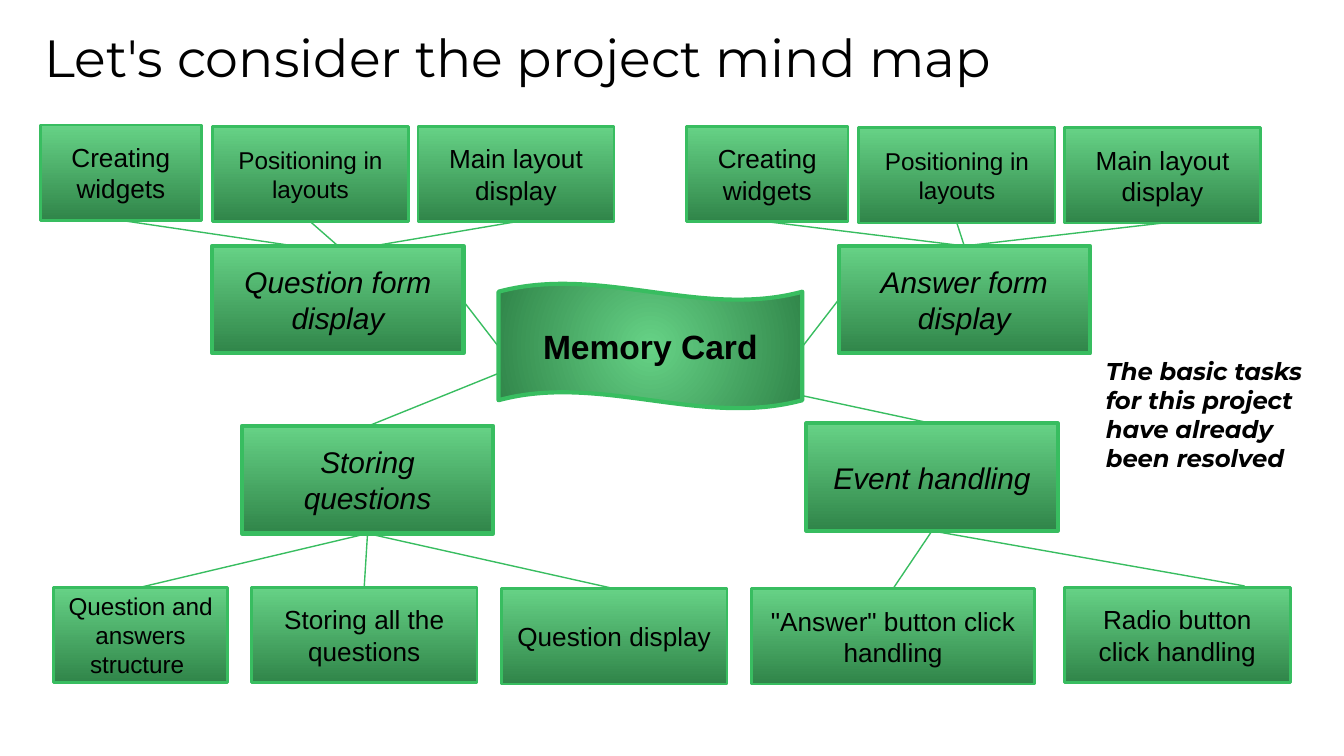
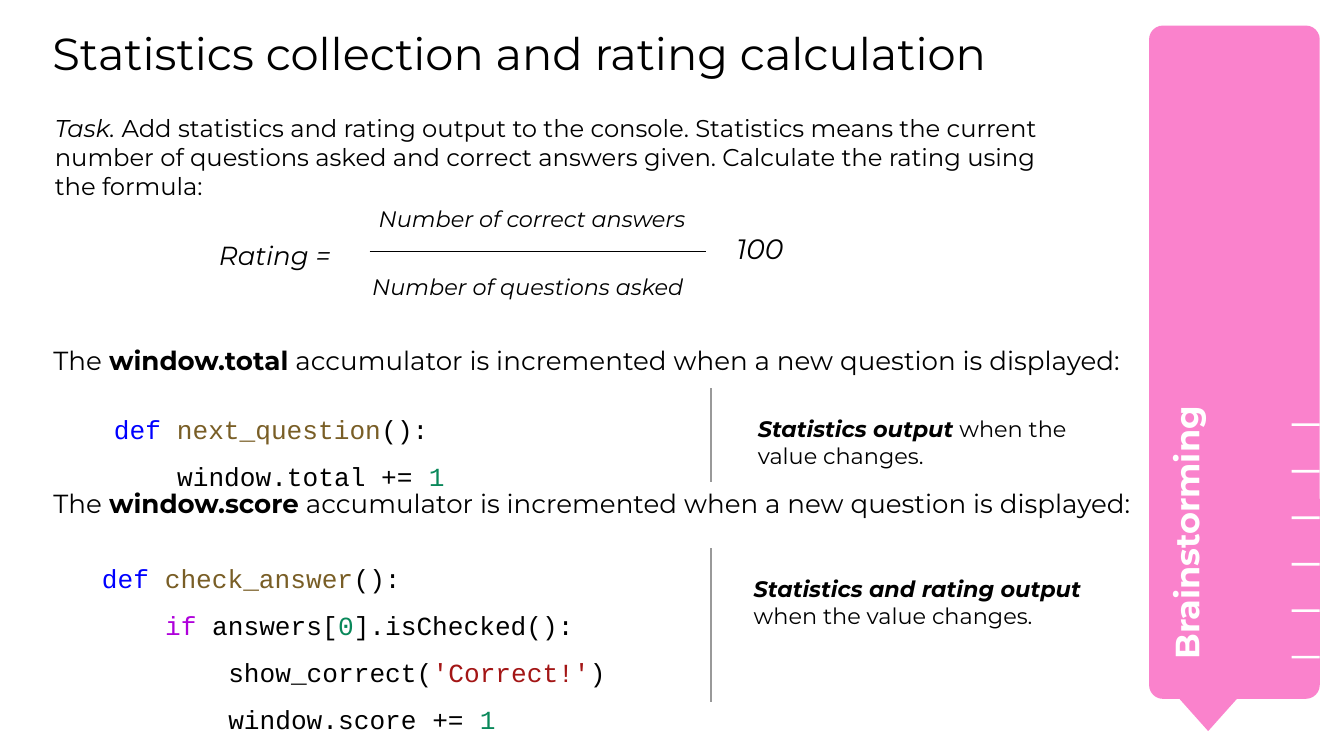
from lxml.etree import SubElement
from pptx import Presentation
from pptx.dml.color import RGBColor
from pptx.enum.shapes import MSO_CONNECTOR, MSO_SHAPE as Shape
from pptx.enum.text import MSO_ANCHOR as Anchor, PP_ALIGN as Align
from pptx.oxml.ns import qn
from pptx.util import Inches, Pt

BLACK = RGBColor(0x00, 0x00, 0x00)
WHITE = RGBColor(0xFF, 0xFF, 0xFF)
GRAY = RGBColor(0x99, 0x99, 0x99)
PINK = RGBColor(0xFA, 0x82, 0xCC)
GREEN = RGBColor(0x38, 0xBD, 0x60)
LIGHT_GREEN = RGBColor(0x66, 0xD2, 0x86)
DARK_GREEN = RGBColor(0x30, 0x85, 0x49)
KEYWORD = RGBColor(0x00, 0x00, 0xFF)
CONTROL = RGBColor(0xAF, 0x00, 0xDB)
FUNCTION = RGBColor(0x79, 0x5E, 0x26)
NUMBER = RGBColor(0x09, 0x88, 0x5A)
STRING = RGBColor(0xA3, 0x15, 0x15)

BODY_FONT, BOX_FONT, CODE_FONT = "Montserrat", "Arial", "Courier New"
SLIDE_WIDTH = 10
SLIDE_HEIGHT = SLIDE_WIDTH * 9 / 16
TOP, BOTTOM = 0, 2
BRANCH_SIZE = (1.87, 0.8)
LEAF_HEIGHT = 0.71
CODE_INDENT = 0.47

MIND_MAP_TITLE = "Let's consider the project mind map"
MIND_MAP_NOTE = "The basic tasks for this project have already been resolved"
CENTER = ("Memory Card", (3.71, 2.11, 2.26, 0.93))

BRANCHES = [
    ("Question form display", (1.58, 1.83), ((3.71, 2.58), (3.44, 2.23)), TOP, [
        ("Creating widgets", 0.3, 0.93, 1.2, 14, (2.19, 1.83), None),
        ("Positioning in layouts", 1.58, 0.94, 1.46, 13, None, None),
        ("Main layout display", 3.11, 0.94, 1.46, 14, (2.72, 1.84), None),
    ]),
    ("Answer form display", (6.24, 1.83), ((5.97, 2.58), (6.24, 2.23)), TOP, [
        ("Creating widgets", 5.11, 0.94, 1.2, 14, None, None),
        ("Positioning in layouts", 6.39, 0.95, 1.46, 13, None, None),
        ("Main layout display", 7.92, 0.95, 1.46, 14, None, None),
    ]),
    ("Storing questions", (1.8, 3.17), ((3.73, 2.77), (2.74, 3.17)), BOTTOM, [
        ("Question and answers structure ", 0.4, 4.37, 1.29, 13, None, None),
        ("Storing all the questions", 1.87, 4.37, 1.68, 14, None, None),
        ("Question display", 3.73, 4.38, 1.68, 14, None, None),
    ]),
    ("Event handling", (6, 3.15), ((5.95, 2.94), (6.93, 3.15)), BOTTOM, [
        ('"Answer" button click handling', 5.59, 4.38, 2.11, 14, None, None),
        ("Radio button click handling", 7.92, 4.37, 1.68, 14, None, (9.26, 4.36)),
    ]),
]

BOLD = {"bold": True}
ITALIC = {"italic": True}
STRONG = {"bold": True, "italic": True}

STATISTICS_TITLE = "Statistics collection and rating calculation"
BANNER = "Brainstorming"
TASK = [
    ("Task. ", ITALIC),
    ("Add statistics and rating output to the console. Statistics means the current "
     "number of questions asked and correct answers given. Calculate the rating using "
     "the formula:", {}),
]
FORMULA = [
    ("Rating =", (1.53, 1.68, 1.35, 0.39), 14, Align.LEFT),
    ("Number of correct answers", (2.68, 1.43, 2.56, 0.39), 12, Align.CENTER),
    ("Number of questions asked", (2.67, 1.93, 2.85, 0.39), 12, Align.LEFT),
    ("100", (5.38, 1.62, 1.35, 0.3), 15, Align.LEFT),
]
ACCUMULATORS = [
    {
        "name": "window.total", "place": (0.3, 2.46, 8.2, 0.43),
        "code_place": (0.75, 2.86, 4.14, 0.8),
        "code": [
            (0, [("def", KEYWORD), (" ", BLACK), ("next_question", FUNCTION), ("():", BLACK)]),
            (1, [("window.total += ", BLACK), ("1", NUMBER)]),
        ],
        "divider": (2.89, 3.59),
        "note": [("Statistics output", STRONG), (" when the value changes.", {})],
        "note_place": (5.54, 2.99, 2.67, 0.43),
    },
    {
        "name": "window.score", "place": (0.3, 3.53, 8.23, 0.39),
        "code_place": (0.66, 3.97, 5.82, 0.8),
        "code": [
            (0, [("def", KEYWORD), (" ", BLACK), ("check_answer", FUNCTION), ("():", BLACK)]),
            (1, [("if", CONTROL), (" answers[", BLACK), ("0", NUMBER),
                 ("].isChecked():", BLACK)]),
            (2, [("show_correct(", BLACK), ("'Correct!'", STRING), (")", BLACK)]),
            (2, [("window.score += ", BLACK), ("1", NUMBER)]),
        ],
        "divider": (4.08, 5.22),
        "note": [("Statistics and rating output ", STRONG), ("when the value changes.", {})],
        "note_place": (5.51, 4.18, 3.06, 0.43),
    },
]


def inches(values):
    return [Inches(value) for value in values]


def style_font(font, size, name=BODY_FONT, color=BLACK, bold=False, italic=False):
    font.size, font.name = Pt(size), name
    font.bold, font.italic = bold, italic
    font.color.rgb = color


def prepare_frame(box, margin=0.1, anchor=Anchor.TOP):
    frame = box.text_frame
    frame.word_wrap = True
    frame.vertical_anchor = anchor
    frame.margin_left = frame.margin_right = Inches(margin)
    frame.margin_top = frame.margin_bottom = Inches(margin)
    return frame


def add_text(page, place, spans, size, margin=0.1, align=Align.LEFT, after=0, **style):
    box = page.shapes.add_textbox(*inches(place))
    para = prepare_frame(box, margin).paragraphs[0]
    para.alignment = align
    para.space_after = Pt(after)
    style_font(para.font, size, **style)
    for text, emphasis in [(spans, {})] if isinstance(spans, str) else spans:
        span = para.add_run()
        span.text = text
        for key, value in emphasis.items():
            setattr(span.font, key, value)
    return box


def add_title(page, text, left, width, height, size):
    add_text(page, (left, 0.19, width, height), text, size, margin=0)


def add_code(page, place, lines):
    frame = prepare_frame(page.shapes.add_textbox(*inches(place)))
    for number, (level, spans) in enumerate(lines):
        para = frame.add_paragraph() if number else frame.paragraphs[0]
        para.line_spacing = 1.5
        style_font(para.font, 14, CODE_FONT)
        para._p.get_or_add_pPr().set("marL", str(Inches(level * CODE_INDENT)))
        for text, color in spans:
            span = para.add_run()
            span.text = text
            span.font.color.rgb = color


def add_line(page, start, end, color):
    line = page.shapes.add_connector(MSO_CONNECTOR.STRAIGHT, *inches(start + end))
    line.line.color.rgb = color
    line.line.width = Pt(0.75)
    SubElement(line._element.spPr, qn("a:effectLst"))
    return line


def add_solid(shapes, kind, place, color):
    shape = shapes.add_shape(kind, *inches(place))
    shape.shadow.inherit = False
    shape.fill.solid()
    shape.fill.fore_color.rgb = color
    shape.line.fill.background()
    return shape


def add_box(page, text, place, size, border, kind=Shape.RECTANGLE, **style):
    box = page.shapes.add_shape(kind, *inches(place))
    box.shadow.inherit = False
    box.fill.gradient()
    box.fill.gradient_angle = 270
    for position, color in enumerate((LIGHT_GREEN, DARK_GREEN)):
        stop = box.fill.gradient_stops[position]
        stop.position = position
        stop.color.rgb = color
    box.line.color.rgb = GREEN
    box.line.width = Pt(border)
    para = prepare_frame(box, anchor=Anchor.MIDDLE).paragraphs[0]
    para.alignment = Align.CENTER
    para.add_run().text = text
    style_font(para.font, size, BOX_FONT, **style)
    return box


def make_radial(box):
    gradient = box._element.spPr.find(qn("a:gradFill"))
    gradient.remove(gradient.find(qn("a:lin")))
    circle = SubElement(gradient, qn("a:path"), {"path": "circle"})
    SubElement(circle, qn("a:fillToRect"), {side: "50000" for side in "ltrb"})


def build_mind_map(page):
    add_title(page, MIND_MAP_TITLE, 0.33, 7.91, 0.56, 28)
    for text, place, link, side, leaves in BRANCHES:
        branch = add_box(page, text, place + BRANCH_SIZE, 16, 2.25, italic=True)
        add_line(page, *link, GREEN)
        for leaf_text, left, top, width, size, start, end in leaves:
            leaf = add_box(page, leaf_text, (left, top, width, LEAF_HEIGHT), size, 1.5)
            line = add_line(page, start or place, end or (left, top), GREEN)
            if not start:
                line.begin_connect(branch, side)
            if not end:
                line.end_connect(leaf, BOTTOM - side)
    text, place = CENTER
    wave = add_box(page, text, place, 18, 2.25, Shape.WAVE, bold=True)
    wave.adjustments[0] = 0.066
    make_radial(wave)
    add_text(page, (8.13, 2.55, 1.87, 0.93), MIND_MAP_NOTE, 13, **STRONG)


def add_banner(page):
    group = page.shapes.add_group_shape()
    panel = add_solid(group.shapes, Shape.ROUNDED_RECTANGLE, (8.55, 0.19, 1.27, 5.01), PINK)
    panel.adjustments[0] = 0.081
    add_solid(group.shapes, Shape.FLOWCHART_MERGE, (8.66, 5.07, 0.66, 0.37), PINK)
    for tick in range(6):
        top = 3.15 + tick * 1.73 / 5
        add_solid(page.shapes, Shape.RECTANGLE, (9.61, top, 0.21, 0.02), WHITE)
    label = add_text(page, (7.14, 2.9, 3.54, 0.67), BANNER, 18, color=WHITE, bold=True)
    label.rotation = 270


def build_statistics(page):
    add_banner(page)
    add_text(page, (0.31, 0.74, 7.73, 0.94), TASK, 13, after=10)
    for text, place, size, align in FORMULA:
        add_text(page, place, text, size, align=align, italic=True)
    add_line(page, (2.75, 1.87), (5.25, 1.87), BLACK)
    for item in ACCUMULATORS:
        sentence = [
            ("The ", {}), (item["name"], BOLD),
            (" accumulator is incremented when a new question is displayed:", {}),
        ]
        add_code(page, item["code_place"], item["code"])
        add_text(page, item["place"], sentence, 14, after=10)
        top, bottom = item["divider"]
        add_line(page, (5.29, top), (5.29, bottom), GRAY)
        add_text(page, item["note_place"], item["note"], 12)
    add_title(page, STATISTICS_TITLE, 0.39, 7.73, 0.6, 24)


def main():
    deck = Presentation()
    deck.slide_width, deck.slide_height = Inches(SLIDE_WIDTH), Inches(SLIDE_HEIGHT)
    for build in (build_mind_map, build_statistics):
        build(deck.slides.add_slide(deck.slide_layouts[6]))
    deck.save("out.pptx")


if __name__ == "__main__":
    main()
